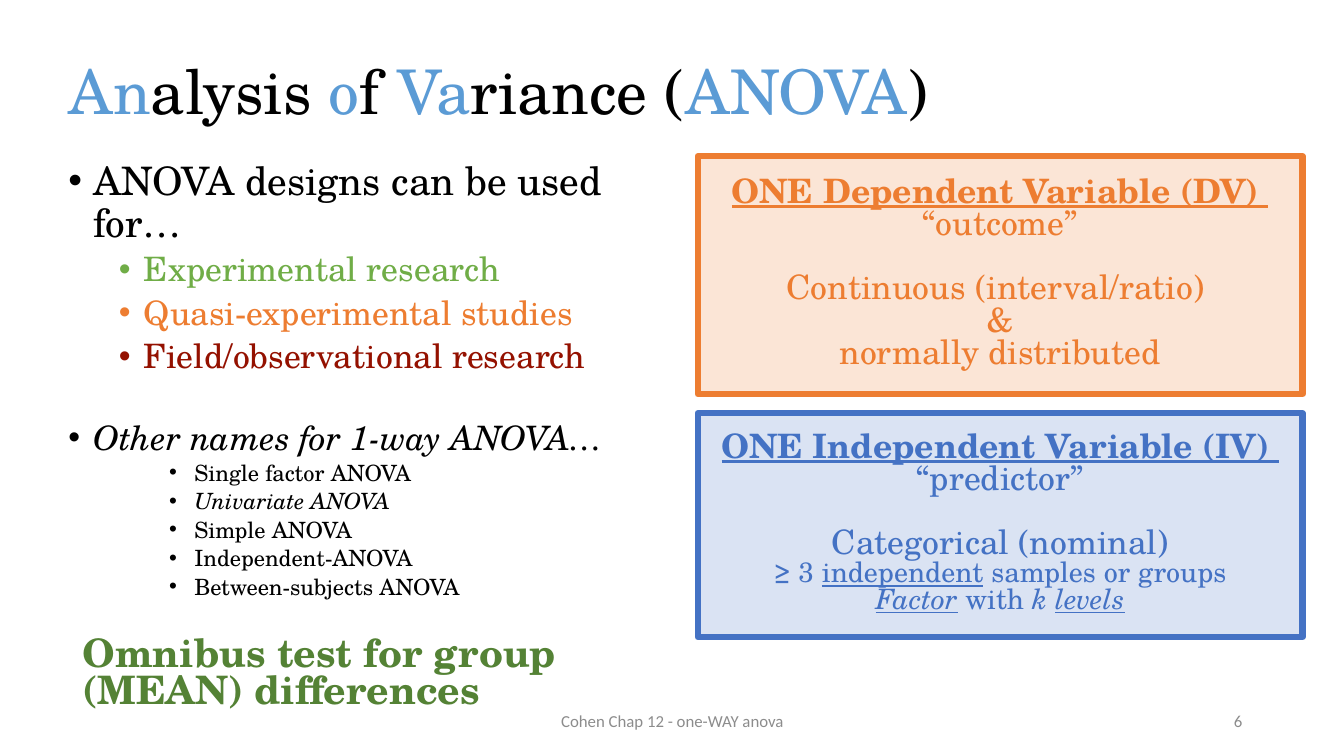
from dataclasses import dataclass

from lxml.etree import SubElement
from pptx import Presentation
from pptx.dml.color import RGBColor
from pptx.enum.shapes import MSO_SHAPE as Shape
from pptx.enum.text import MSO_ANCHOR as Anchor, MSO_AUTO_SIZE as AutoSize, PP_ALIGN as Align
from pptx.oxml.ns import qn
from pptx.util import Inches, Pt


@dataclass(frozen=True)
class Theme:
    serif: str = "TeX Gyre Schola"
    sans: str = "Calibri"
    black: str = "000000"
    grey: str = "8C8C8C"
    sky: str = "5B9BD5"
    green: str = "70AD47"
    dark_green: str = "548235"
    red: str = "941100"
    orange: str = "ED7D31"
    pale_orange: str = "FBE5D6"
    blue: str = "4472C4"
    pale_blue: str = "DAE3F3"
    title: int = 44
    heading: int = 28
    text: int = 24
    detail: int = 20
    small: int = 16
    footer: int = 12


THEME = Theme()


@dataclass
class Line:
    """One paragraph: its spans are (text, font overrides) pairs."""
    spans: list
    size: int = THEME.text
    color: str = THEME.black
    font: str = THEME.serif
    bold: bool = False
    italic: bool = False
    underline: bool = False
    align: Align = Align.LEFT
    spacing: float = 0.9
    before: float = 0
    indent: float = 0
    bullet: bool = False


class SlideBuilder:
    def __init__(self, deck, theme):
        self.theme = theme
        self.page = deck.slides.add_slide(deck.slide_layouts[5])

    def fill_frame(self, frame, lines):
        frame.word_wrap = True
        for index, line in enumerate(lines):
            para = frame.paragraphs[0] if index == 0 else frame.add_paragraph()
            para.alignment = line.align
            para.line_spacing = line.spacing
            para.space_before = Pt(line.before)
            self.indent(para, line)
            font = para.font
            font.name, font.size = line.font, Pt(line.size)
            font.bold, font.italic, font.underline = line.bold, line.italic, line.underline
            font.color.rgb = RGBColor.from_string(line.color)
            for text, overrides in line.spans:
                self.add_span(para, text, **overrides)

    def add_span(self, para, text, color=None, italic=None, underline=None):
        span = para.add_run()
        span.text = text
        span.font.italic, span.font.underline = italic, underline
        if color:
            span.font.color.rgb = RGBColor.from_string(color)

    def indent(self, para, line):
        properties = para._p.get_or_add_pPr()
        properties.set("marL", str(Inches(line.indent)))
        properties.set("indent", str(Inches(-0.25 if line.bullet else 0)))
        if line.bullet:
            SubElement(properties, qn("a:buFont")).set("typeface", "Arial")
            SubElement(properties, qn("a:buChar")).set("char", "•")

    def title(self, left, top, width, height, line):
        title = self.page.shapes.title
        title.left, title.top = Inches(left), Inches(top)
        title.width, title.height = Inches(width), Inches(height)
        title.text_frame.auto_size = AutoSize.NONE
        title.text_frame.vertical_anchor = Anchor.MIDDLE
        self.fill_frame(title.text_frame, [line])

    def text(self, left, top, width, height, lines, anchor=Anchor.TOP):
        box = self.page.shapes.add_textbox(
            Inches(left), Inches(top), Inches(width), Inches(height))
        box.text_frame.vertical_anchor = anchor
        self.fill_frame(box.text_frame, lines)

    def footer(self, left, width, text, align):
        line = Line([(text, {})], self.theme.footer, self.theme.grey, self.theme.sans,
                    align=align, spacing=1.0)
        self.text(left, 6.95, width, 0.4, [line], Anchor.MIDDLE)

    def panel(self, top, height, inset, fill, color, heading, lines):
        """Framed box with an underlined heading; lines are (spans, size, space before)."""
        box = self.page.shapes.add_shape(
            Shape.RECTANGLE, Inches(6.92), Inches(top), Inches(6), Inches(height))
        box.shadow.inherit = False
        box.fill.solid()
        box.fill.fore_color.rgb = RGBColor.from_string(fill)
        box.line.color.rgb = RGBColor.from_string(color)
        box.line.width = Pt(4.5)
        frame = box.text_frame
        frame.vertical_anchor = Anchor.TOP
        frame.margin_top = Inches(inset)
        look = dict(color=color, align=Align.CENTER, spacing=0.8)
        self.fill_frame(frame, [
            Line([(heading, {})], bold=True, underline=True, **look),
            *[Line(spans, size, before=before, **look) for spans, size, before in lines]])


def main():
    deck = Presentation()
    deck.slide_width, deck.slide_height = Inches(13.33), Inches(7.5)
    slide = SlideBuilder(deck, THEME)

    accent = {"color": THEME.sky}
    slide.title(0.58, 0.12, 10.63, 1.64, Line([
        ("An", accent), ("alysis ", {}), ("o", accent), ("f ", {}), ("Va", accent),
        ("riance (", {}), ("ANOVA", accent), (")", {})], THEME.title))

    uses = [("Experimental research", THEME.green),
            ("Quasi-experimental studies", THEME.orange),
            ("Field/observational research", THEME.red)]
    other_names = ["Single factor ANOVA", "Univariate ANOVA", "Simple ANOVA",
                   "Independent-ANOVA", "Between-subjects ANOVA"]
    slide.text(0.58, 1.55, 6.34, 5.63, [
        Line([("ANOVA designs can be used for…", {})], THEME.heading,
             before=10, indent=0.25, bullet=True),
        *[Line([(use, {})], color=color, before=5, indent=0.75, bullet=True)
          for use, color in uses],
        Line([("Other names for 1-way ANOVA…", {})], italic=True, spacing=0.8,
             before=35, indent=0.25, bullet=True),
        *[Line([(name, {})], THEME.small, italic=name.startswith("Univariate"),
               spacing=0.8, before=5, indent=1.25, bullet=True) for name in other_names],
        Line([("Omnibus test for group (MEAN) differences", {})], THEME.heading,
             THEME.dark_green, bold=True, spacing=0.8, before=27, indent=0.14)])

    slide.footer(4.42, 4.5, "Cohen Chap 12 - one-WAY anova", Align.CENTER)
    slide.footer(9.42, 3, "6", Align.RIGHT)

    slide.panel(1.55, 2.36, 0.21, THEME.pale_orange, THEME.orange,
                "ONE Dependent Variable (DV) ", [
                    ([("“outcome”", {})], THEME.text, 0),
                    ([("Continuous (interval/ratio) ", {})], THEME.text, 23),
                    ([("&", {})], THEME.text, 0),
                    ([("normally distributed", {})], THEME.text, 0)])

    underlined, italic = {"underline": True}, {"italic": True}
    slide.panel(4.1, 2.22, 0.19, THEME.pale_blue, THEME.blue,
                "ONE Independent Variable (IV) ", [
                    ([("“predictor”", {})], THEME.text, 0),
                    ([("Categorical (nominal)", {})], THEME.text, 23),
                    ([("≥ 3 ", {}), ("independent", underlined),
                      (" samples or groups", {})], THEME.detail, 0),
                    ([("Factor", underlined | italic), (" with ", {}), ("k ", italic),
                      ("levels", underlined | italic)], THEME.detail, 0)])

    deck.save("out.pptx")


if __name__ == "__main__":
    main()
